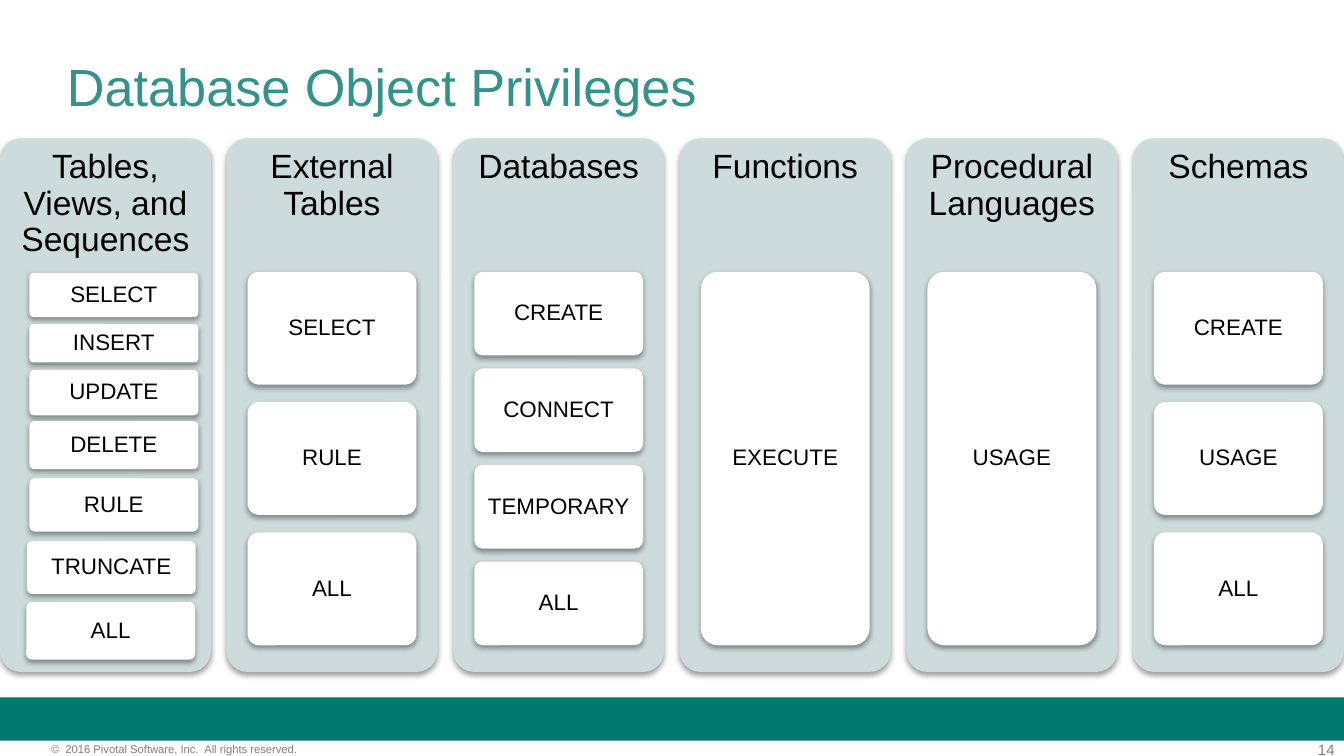
from pptx import Presentation
from pptx.dml.color import RGBColor
from pptx.enum.shapes import MSO_SHAPE as Shape
from pptx.enum.text import MSO_ANCHOR as Anchor, PP_ALIGN as Align
from pptx.oxml import parse_xml
from pptx.oxml.ns import nsdecls, qn
from pptx.util import Inches, Pt

WIDTH = 10
HEIGHT = WIDTH * 9 / 16
PANEL_WIDTH = 1.57
PANEL_PITCH = (WIDTH - PANEL_WIDTH) / 5
CARD_SHARE = 0.8        # card width as a share of the panel
STACK_TOP, STACK_SHARE = 0.25, 0.7
GAP_TO_CARD = 2 / 13    # gap between cards as a share of the card height

# Percent of the panel: left, top, height
TABLE_CARDS = [
    ("SELECT", 14, 25.2, 8.3),
    ("INSERT", 14, 34.8, 7.2),
    ("UPDATE", 14, 43.4, 8.5),
    ("DELETE", 14, 53, 9),
    ("RULE", 14, 63.7, 10),
    ("TRUNCATE", 12.8, 75.5, 9.9),
    ("ALL", 12.5, 86.9, 10.8),
]
PRIVILEGES = [
    ("Tables, Views, and Sequences", None),
    ("External Tables", ["SELECT", "RULE", "ALL"]),
    ("Databases", ["CREATE", "CONNECT", "TEMPORARY", "ALL"]),
    ("Functions", ["EXECUTE"]),
    ("Procedural Languages", ["USAGE"]),
    ("Schemas", ["CREATE", "USAGE", "ALL"]),
]


def color(hex_value):
    return RGBColor.from_string(hex_value)


def write(shape, text, size=12, ink="000000", align=Align.CENTER,
          anchor=Anchor.MIDDLE, inset=0.04, spacing=0.9):
    frame = shape.text_frame
    frame.word_wrap = True
    frame.vertical_anchor = anchor
    frame.margin_left = frame.margin_right = Inches(inset)
    frame.margin_top = frame.margin_bottom = Inches(inset)
    line = frame.paragraphs[0]
    line.alignment = align
    line.line_spacing = spacing
    run = line.add_run()
    run.text = text
    run.font.name = "Arial"
    run.font.size = Pt(size)
    run.font.color.rgb = color(ink)


def add_block(slide, box, fill, kind=Shape.ROUNDED_RECTANGLE):
    block = slide.shapes.add_shape(kind, *map(Inches, box))
    block.shadow.inherit = False
    block.fill.solid()
    block.fill.fore_color.rgb = color(fill)
    block.line.fill.background()
    return block


def add_raised(slide, box, fill):
    """Add a rounded block with a soft shadow below it."""
    block = add_block(slide, box, fill)
    block.adjustments[0] = 0.1
    effects = block._element.spPr.find(qn("a:effectLst"))
    effects.append(parse_xml(
        f'<a:outerShdw {nsdecls("a")} blurRad="{Pt(3.1)}" dist="{Pt(1.6)}" '
        'dir="5400000" rotWithShape="0"><a:srgbClr val="000000">'
        '<a:alpha val="38000"/></a:srgbClr></a:outerShdw>'))
    return block


def add_label(slide, box, text, **style):
    write(slide.shapes.add_textbox(*map(Inches, box)), text,
          anchor=Anchor.TOP, **style)


def even_cards(labels):
    """Spread cards of equal height over the stack of a panel."""
    count = len(labels)
    height = 100 * STACK_SHARE / (count + (count - 1) * GAP_TO_CARD)
    step = height * (1 + GAP_TO_CARD)
    left = 50 * (1 - CARD_SHARE)
    return [(label, left, 100 * STACK_TOP + row * step, height)
            for row, label in enumerate(labels)]


def add_panel(slide, box, heading, cards):
    left, top, width, height = box
    panel = add_raised(slide, box, "CDDBDA")
    write(panel, heading, size=18, anchor=Anchor.TOP)
    for label, across, down, tall in cards:
        card_box = (left + width * across / 100, top + height * down / 100,
                    width * CARD_SHARE, height * tall / 100)
        write(add_raised(slide, card_box, "FFFFFF"), label)


def add_footer(slide, box):
    left, top, width, height = box
    band = height * 0.74
    add_block(slide, (left, top, width, band), "00786E", Shape.RECTANGLE)
    small = dict(ink="7F7F7F", inset=0, spacing=1)
    add_label(slide, (left + width * 0.935, top + band, width * 0.058, 0.13),
              "14", size=8, align=Align.RIGHT, **small)
    add_label(slide, (left + width * 0.038, top + band + 0.01, width * 0.25, 0.1),
              "©  2016 Pivotal Software, Inc.  All rights reserved.",
              size=6, align=Align.LEFT, **small)


def main():
    deck = Presentation()
    deck.slide_width, deck.slide_height = Inches(WIDTH), Inches(HEIGHT)
    slide = deck.slides.add_slide(deck.slide_layouts[6])
    add_footer(slide, (0, 5.19, WIDTH, HEIGHT - 5.19))
    add_label(slide, (0.4, 0.36, WIDTH * 0.92, 0.5),
              "Database Object Privileges", size=28, ink="33928A",
              align=Align.LEFT, inset=0.1)
    for column, (heading, labels) in enumerate(PRIVILEGES):
        cards = even_cards(labels) if labels else TABLE_CARDS
        add_panel(slide, (column * PANEL_PITCH, 1.03, PANEL_WIDTH, 3.97),
                  heading, cards)
    deck.save("out.pptx")


if __name__ == "__main__":
    main()
